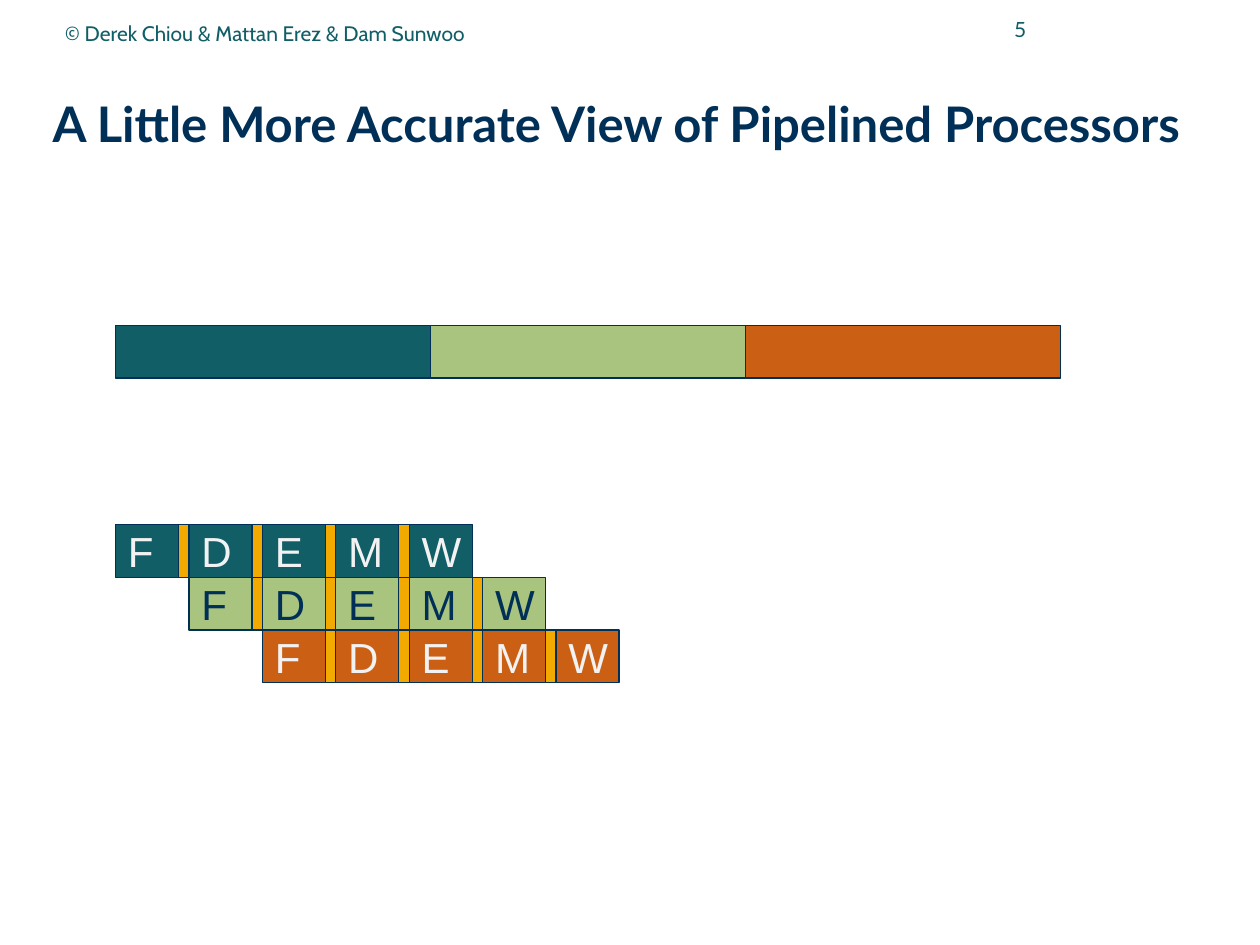
from pptx import Presentation
from pptx.dml.color import RGBColor
from pptx.enum.shapes import MSO_SHAPE
from pptx.enum.text import MSO_ANCHOR, MSO_AUTO_SIZE, PP_ALIGN
from pptx.util import Cm, Pt

TITLE = "A Little More Accurate View of Pipelined Processors"
CREDIT = "© Derek Chiou & Mattan Erez & Dam Sunwoo"
PAGE = "5"
STAGES = "FDEMW"
NAVY, TEAL, GOLD, PALE = "003057", "115E67", "F2A900", "F2F2F2"
TASKS = [(TEAL, PALE), ("A9C47F", NAVY), ("CB6015", PALE)]  # fill, text

# Lengths in centimetres
LEFT, HIGH = 2.33, 1.06
BAR_TOP, BAR_WIDE = 6.56, 6.35
PIPE_TOP, STAGE_WIDE, LATCH_WIDE = 10.58, 1.27, 0.21
STEP = STAGE_WIDE + LATCH_WIDE


def color(code):
    return RGBColor.from_string(code)


def write(shape, text, size, face, code, align=PP_ALIGN.LEFT, bold=False, **frame):
    box = shape.text_frame
    form = {"auto_size": MSO_AUTO_SIZE.NONE, "word_wrap": True,
            "vertical_anchor": MSO_ANCHOR.MIDDLE, **frame}
    for name, value in form.items():
        setattr(box, name, value)
    line = box.paragraphs[0]
    line.text = text
    line.alignment = align
    for name, value in {"size": Pt(size), "name": face, "bold": bold}.items():
        setattr(line.font, name, value)
    line.font.color.rgb = color(code)
    return line


def block(slide, left, top, wide, fill):
    shape = slide.shapes.add_shape(
        MSO_SHAPE.RECTANGLE, Cm(left), Cm(top), Cm(wide), Cm(HIGH))
    shape.shadow.inherit = False
    shape.fill.solid()
    shape.fill.fore_color.rgb = color(fill)
    shape.line.color.rgb = color(NAVY)
    shape.line.width = Pt(0.75)
    return shape


def head(slide):
    title = slide.shapes.title
    place = {"left": 1.06, "top": 1.27, "width": 23.9, "height": 2.5}
    for name, value in place.items():
        setattr(title, name, Cm(value))
    edges = ("margin_left", "margin_top", "margin_right", "margin_bottom")
    line = write(title, TITLE, 28, "Lato", NAVY, bold=True, **dict.fromkeys(edges, 0))
    line.line_spacing = 0.99
    page = slide.shapes.add_textbox(Cm(18.63), Cm(-0.04), Cm(2.31), Cm(1.27))
    write(page, PAGE, 12, "Lato", TEAL, PP_ALIGN.RIGHT)
    credit = slide.shapes.add_textbox(Cm(1.06), Cm(0.08), Cm(14.4), Cm(1.17))
    write(credit, CREDIT, 12, "Cabin", TEAL)


def pipe(slide, row, fill, ink):
    top = PIPE_TOP + row * HIGH
    for col, stage in enumerate(STAGES):
        left = LEFT + (row + col) * STEP
        if col:
            block(slide, left - LATCH_WIDE, top, LATCH_WIDE, GOLD)
        shape = block(slide, left, top, STAGE_WIDE, fill)
        write(shape, stage, 24, "Arial", ink, word_wrap=False)


def main():
    deck = Presentation()
    deck.slide_width, deck.slide_height = Cm(25.4), Cm(19.05)
    slide = deck.slides.add_slide(deck.slide_layouts[5])
    head(slide)
    for row, (fill, ink) in enumerate(TASKS):
        block(slide, LEFT + row * BAR_WIDE, BAR_TOP, BAR_WIDE, fill)
        pipe(slide, row, fill, ink)
    deck.save("out.pptx")


if __name__ == "__main__":
    main()
